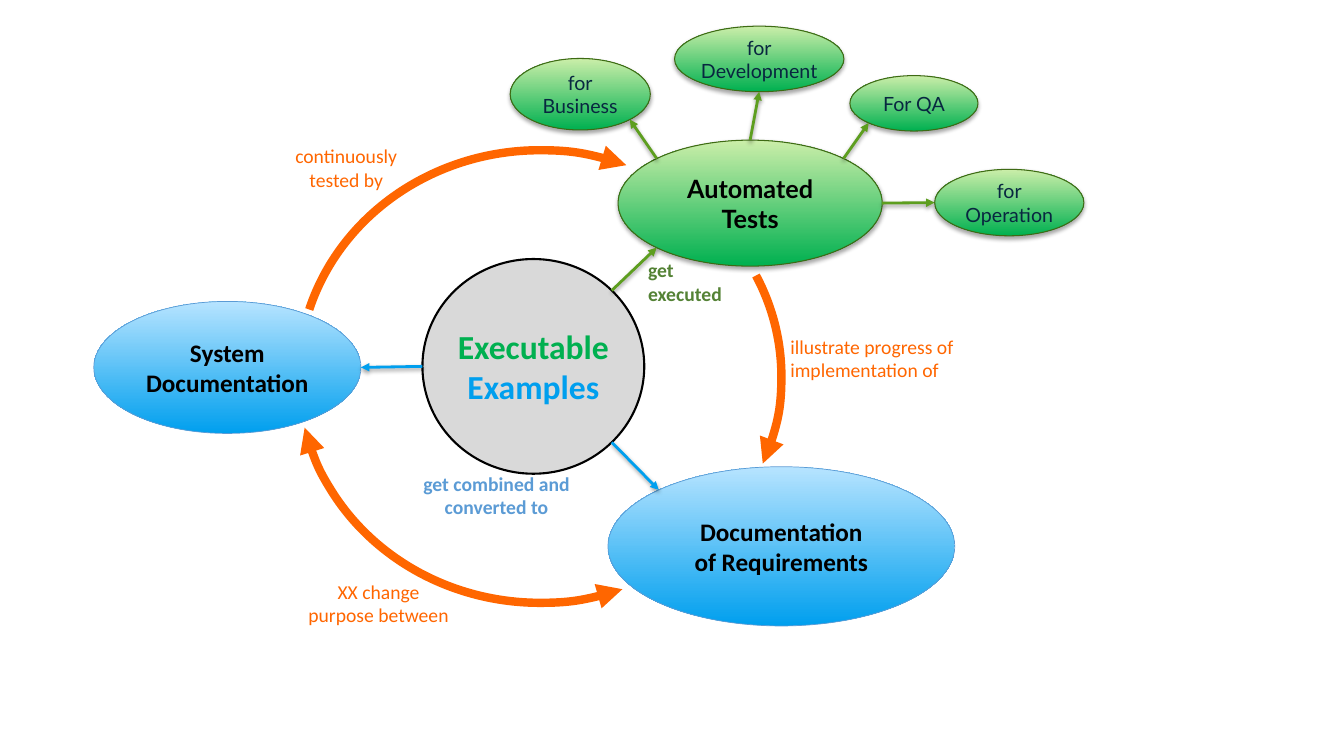
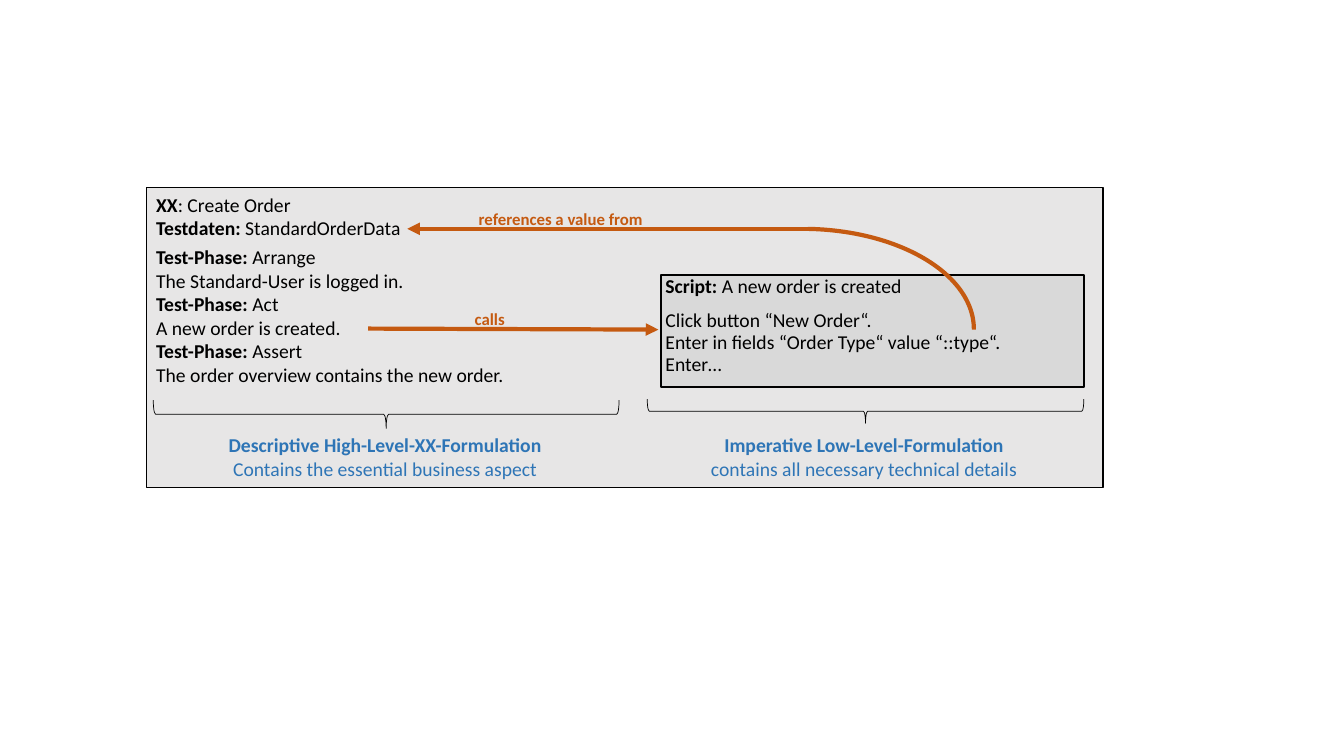
from math import cos, radians, sin

from lxml.etree import SubElement
from pptx import Presentation
from pptx.dml.color import RGBColor
from pptx.enum.shapes import MSO_CONNECTOR, MSO_SHAPE as SHAPE
from pptx.enum.text import MSO_ANCHOR as ANCHOR, PP_ALIGN as ALIGN
from pptx.oxml.ns import qn
from pptx.util import Inches, Pt

BLACK = RGBColor(0x00, 0x00, 0x00)
NAVY = RGBColor(0x08, 0x27, 0x40)
GREEN = RGBColor(0x00, 0xB0, 0x50)
PALE_GREEN = RGBColor(0xCB, 0xEE, 0xA9)
GREEN_EDGE = RGBColor(0x3E, 0x6A, 0x14)
GREEN_ARROW = RGBColor(0x5D, 0x9E, 0x1F)
GREEN_TEXT = RGBColor(0x54, 0x82, 0x35)
BLUE = RGBColor(0x00, 0x9F, 0xEE)
PALE_BLUE = RGBColor(0xB7, 0xE4, 0xFF)
SOFT_BLUE = RGBColor(0x5B, 0x9B, 0xD5)
CAPTION_BLUE = RGBColor(0x2E, 0x75, 0xB6)
ORANGE = RGBColor(0xFF, 0x66, 0x00)
RUST = RGBColor(0xC5, 0x5A, 0x11)
GREY = RGBColor(0xD9, 0xD9, 0xD9)
PANEL_GREY = RGBColor(0xE7, 0xE6, 0xE6)

# Ellipse rim points, in degrees clockwise from the right
RIGHT, LOW_RIGHT, BOTTOM, LOW_LEFT = 0, 45, 90, 135
LEFT, UP_LEFT, TOP, UP_RIGHT = 180, 225, 270, 315

# Shadow: opacity in percent, distance in points
NODE_SHADOW = (35, 1.8)
ARROW_SHADOW = (38, 1.6)
NO_INSET = dict.fromkeys(
    ("margin_left", "margin_top", "margin_right", "margin_bottom"), 0)


def assign(obj, values):
    for name, value in values.items():
        setattr(obj, name, value)


def moved(box, left, top):
    return (box[0] + left, box[1] + top, *box[2:])


def set_effect(sp, shadow=None):
    """Replace the theme's effect by a soft shadow, or by none."""
    sp_pr = sp._element.spPr
    effects = sp_pr.find(qn("a:effectLst"))
    if effects is None:
        effects = SubElement(sp_pr, qn("a:effectLst"))
    if shadow:
        alpha, dist = shadow
        outer = SubElement(effects, qn("a:outerShdw"), blurRad=str(Pt(3.1)),
                           dist=str(Pt(dist)), dir="5400000", rotWithShape="0")
        color = SubElement(outer, qn("a:srgbClr"), val="000000")
        SubElement(color, qn("a:alpha"), val=str(alpha * 1000))


def set_line(sp, color, width, ends=()):
    """Colour the line; ends names the ends with arrowheads."""
    sp.line.color.rgb = color
    sp.line.width = Pt(width)
    ln = sp.line._get_or_add_ln()
    for end in ends:
        SubElement(ln, qn(f"a:{end}"), type="triangle")


def write(tf, paras, size, color, bold=False, font="Calibri",
          align=ALIGN.CENTER, gaps=None, **frame):
    """A paragraph is a string, or a pair of a bold and a plain run.

    gaps maps a paragraph's index to the points of space before it.
    """
    assign(tf, frame)
    for i, para in enumerate(paras):
        p = tf.paragraphs[0] if i == 0 else tf.add_paragraph()
        p.alignment = align
        p.space_before = Pt((gaps or {}).get(i, 0))
        runs = [(para, bold)] if isinstance(para, str) else zip(para, (True, False))
        for text, is_bold in runs:
            r = p.add_run()
            r.text = text
            assign(r.font, {"size": Pt(size), "bold": is_bold, "name": font})
            r.font.color.rgb = color


def add_shape(s, kind, box, line, fill=None, shadow=None, ends=()):
    """fill is None, one colour, or a pair running from bottom to top."""
    sp = s.shapes.add_shape(kind, *map(Inches, box))
    sp.shadow.inherit = False
    if fill is None:
        sp.fill.background()
    elif isinstance(fill, RGBColor):
        sp.fill.solid()
        sp.fill.fore_color.rgb = fill
    else:
        sp.fill.gradient()
        sp.fill.gradient_angle = 90
        for stop, color in zip(sp.fill.gradient_stops, fill):
            stop.color.rgb = color
    set_line(sp, *line, ends)
    set_effect(sp, shadow)
    return sp


def add_arc(s, box, start, end, line, ends=()):
    sp = add_shape(s, SHAPE.ARC, box, line, ends=ends)
    for i, degrees in enumerate((start, end)):
        sp.adjustments[i] = degrees * 0.6  # 60000 units a degree, scaled by 100000


def add_arrow(s, start, end, color, width, shadow=None):
    cxn = s.shapes.add_connector(MSO_CONNECTOR.STRAIGHT,
                                 *map(Inches, (*start, *end)))
    set_line(cxn, color, width, ["tailEnd"])
    set_effect(cxn, shadow)


def add_text(s, box, paras, size, color, wrap=False, **style):
    tf = s.shapes.add_textbox(*map(Inches, box)).text_frame
    write(tf, paras, size, color, word_wrap=wrap, **style)


def rim(box, degrees):
    left, top, width, height = box
    angle = radians(degrees)
    return (left + width / 2 * (1 + cos(angle)),
            top + height / 2 * (1 + sin(angle)))


def cycle_diagram(s, left, top):
    """Hub, outer nodes, ring of arcs and their labels."""
    green = {"fill": (GREEN, PALE_GREEN), "line": (GREEN_EDGE, 0.75),
             "shadow": NODE_SHADOW}
    blue = {"fill": (BLUE, PALE_BLUE), "line": (SOFT_BLUE, 0.5)}
    main = {"size": 18, "color": BLACK, "bold": True}
    small = {"size": 14, "color": NAVY, "font": "Lato", **NO_INSET}
    nodes = {
        "hub": ((3.26, 2.31, 2.2, 2.13), ["Executable", "Examples"],
                {"fill": GREY, "line": (BLACK, 1.5)},
                {"size": 24, "color": GREEN, "bold": True, **NO_INSET}),
        "tests": ((5.2, 1.13, 2.62, 1.25), ["Automated", "Tests"],
                  green, {**main, "font": "Lato"}),
        "business": ((4.13, 0.32, 1.39, 0.71), ["for", "Business"], green, small),
        "development": ((5.76, 0, 1.68, 0.65), ["for", "Development"], green, small),
        "qa": ((7.5, 0.49, 1.27, 0.55), ["For QA"], green, small),
        "operation": ((8.34, 1.42, 1.48, 0.66), ["for", "Operation"], green, small),
        "requirements": ((5.1, 4.37, 3.44, 1.58),
                         ["Documentation", "of Requirements"], blue, main),
        "system": ((0, 2.73, 2.65, 1.31), ["System Documentation"], blue, main),
    }
    boxes = {}
    for name, (box, paras, look, text) in nodes.items():
        boxes[name] = moved(box, left, top)
        sp = add_shape(s, SHAPE.OVAL, boxes[name], **look)
        write(sp.text_frame, paras, **text, vertical_anchor=ANCHOR.MIDDLE)
        if name == "hub":
            sp.text_frame.paragraphs[1].runs[0].font.color.rgb = BLUE

    for source, out, target, into, color in (
            ("hub", UP_RIGHT, "tests", LOW_LEFT, GREEN_ARROW),
            ("tests", UP_LEFT, "business", LOW_RIGHT, GREEN_ARROW),
            ("tests", TOP, "development", BOTTOM, GREEN_ARROW),
            ("tests", UP_RIGHT, "qa", LOW_LEFT, GREEN_ARROW),
            ("tests", RIGHT, "operation", LEFT, GREEN_ARROW),
            ("hub", LOW_RIGHT, "requirements", UP_LEFT, BLUE),
            ("hub", LEFT, "system", RIGHT, BLUE)):
        add_arrow(s, rim(boxes[source], out), rim(boxes[target], into),
                  color, 2, ARROW_SHADOW)

    ring = moved((2.03, 1.23, 4.79, 4.49), left, top)
    for start, end, ends in ((334.94, 21.34, ["tailEnd"]),
                             (68.81, 167.73, ["headEnd", "tailEnd"]),
                             (196.2, 292.23, ["tailEnd"])):
        add_arc(s, ring, start, end, (ORANGE, 6), ends)

    for x, y, width, paras, color, bold, align in (
            (1.89, 1.12, 1.23, ["continuously", "tested by"],
             ORANGE, False, ALIGN.CENTER),
            (6.81, 3.01, 1.84, ["illustrate progress of", "implementation of"],
             ORANGE, False, ALIGN.LEFT),
            (2.02, 5.44, 1.61, ["XX change", "purpose between"],
             ORANGE, False, ALIGN.CENTER),
            (5.4, 2.25, 0.94, ["get", "executed"], GREEN_TEXT, True, ALIGN.LEFT),
            (3.14, 4.37, 1.71, ["get combined and", "converted to"],
             SOFT_BLUE, True, ALIGN.CENTER)):
        add_text(s, moved((x, y, width, 0.57), left, top), paras, 14, color,
                 bold=bold, align=align)


def brace_below(s, left, top, width, height):
    """Brace lying flat with its tip down, filling the box."""
    turned = (left + (width - height) / 2, top + (height - width) / 2,
              height, width)
    sp = add_shape(s, SHAPE.LEFT_BRACE, turned, (BLACK, 0.5))
    sp.rotation = 270


def script_box(s, box):
    sp = add_shape(s, SHAPE.RECTANGLE, box, (BLACK, 1.5), GREY)
    tf = sp.text_frame
    write(tf, [("Script: ", "A new order is created"),
               "Click button “New Order“.",
               "Enter in fields “Order Type“ value “::type“.",
               "Enter…"],
          14, BLACK, align=ALIGN.LEFT, gaps={1: 8}, vertical_anchor=ANCHOR.TOP,
          **{**NO_INSET, "margin_left": Inches(0.04)})
    for p in tf.paragraphs:
        p.line_spacing = Pt(16)


def formulation_panel(s, left, top, width, height):
    """Test case on the left, the script it calls on the right."""
    panel = add_shape(s, SHAPE.RECTANGLE, (left, top, width, height),
                      (BLACK, 0.75), PANEL_GREY)
    write(panel.text_frame,
          [("XX", ": Create Order"),
           ("Testdaten: ", "StandardOrderData"),
           ("Test-Phase: ", "Arrange"),
           "The Standard-User is logged in.",
           ("Test-Phase: ", "Act"),
           "A new order is created.",
           ("Test-Phase: ", "Assert"),
           "The order overview contains the new order."],
          14, BLACK, align=ALIGN.LEFT, gaps={2: 4}, vertical_anchor=ANCHOR.TOP)
    script_box(s, moved((5.11, 0.87, 4.19, 1.11), left, top))

    for brace, caption, paras in (
            ((0.07, 2.11, 4.62, 0.28), (0.36, 2.39, 4.02, 0.57),
             ("Descriptive High-Level-XX-Formulation",
              "Contains the essential business aspect")),
            ((4.97, 2.1, 4.33, 0.24), (5.18, 2.39, 3.88, 0.57),
             ("Imperative Low-Level-Formulation",
              "contains all necessary technical details"))):
        brace_below(s, *moved(brace, left, top))
        heading, detail = paras
        add_text(s, moved(caption, left, top), [(heading,), detail],
                 14, CAPTION_BLUE, wrap=True)

    add_arc(s, moved((4.81, 0.41, 3.4, 1.99), left, top), 273.08, 0.15, (RUST, 3))
    for start, end in (((2.2, 1.4), (5.08, 1.41)), ((6.56, 0.41), (2.59, 0.41))):
        add_arrow(s, moved(start, left, top), moved(end, left, top), RUST, 3)
    for box, label in (((3.16, 1.15, 0.5, 0.3), "calls"),
                       ((3.2, 0.16, 1.84, 0.3), "references a value from")):
        add_text(s, moved(box, left, top), [label], 12, RUST, bold=True,
                 align=ALIGN.LEFT)


def main():
    prs = Presentation()
    prs.slide_width, prs.slide_height = Inches(13.33), Inches(7.5)
    blank = prs.slide_layouts[6]
    cycle_diagram(prs.slides.add_slide(blank), 0.93, 0.26)
    formulation_panel(prs.slides.add_slide(blank), 1.45, 1.86, 9.49, 2.98)
    prs.save("out.pptx")


if __name__ == "__main__":
    main()
